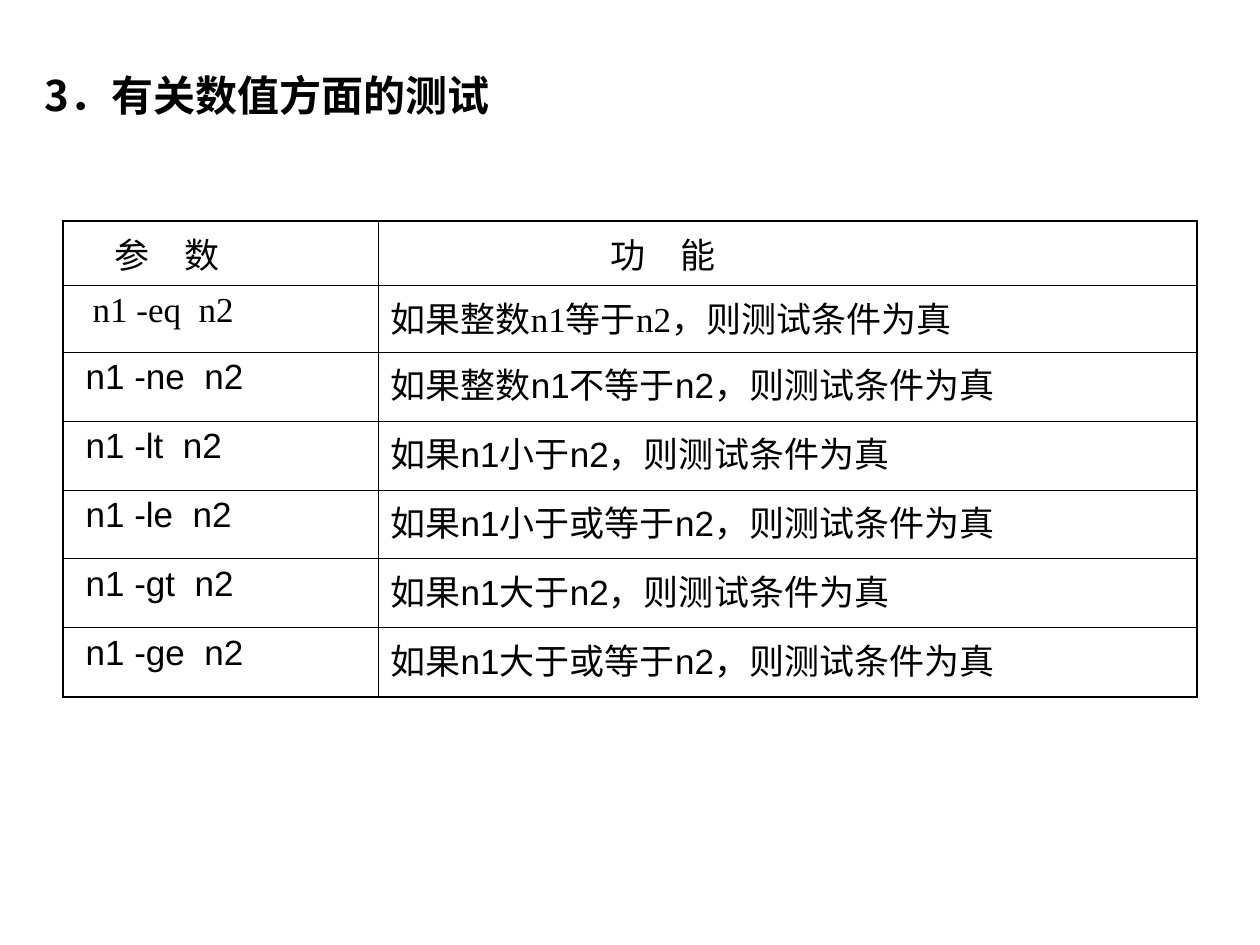
"""Build a slide listing the numeric test operators of the shell."""
from dataclasses import dataclass

from lxml import etree
from pptx import Presentation, util as u
from pptx.dml.color import RGBColor
from pptx.oxml import ns

PX_PER_INCH = 126
BLACK = RGBColor(0, 0, 0)
CJK_FONT = "Noto Sans CJK SC"
SANS = "Arial"
SERIF = "Times New Roman"
OUTER_PT, INNER_PT = 1.08, 0.45
COLUMN_WIDTHS = (315, 819)


@dataclass(frozen=True)
class Entry:
    """One table row, with the left indent of each of its two cells."""
    parameter: str
    meaning: str
    height: int = 69
    indents: tuple[int, int] = (10, 0)
    typeface: str = SANS


ENTRIES = (
    Entry("参　数", "功　能", 64, (39, 220)),
    Entry("n1 -eq  n2", "如果整数n1等于n2，则测试条件为真", 67, (17, 0), SERIF),
    Entry("n1 -ne  n2", "如果整数n1不等于n2，则测试条件为真"),
    Entry("n1 -lt  n2", "如果n1小于n2，则测试条件为真"),
    Entry("n1 -le  n2", "如果n1小于或等于n2，则测试条件为真"),
    Entry("n1 -gt  n2", "如果n1大于n2，则测试条件为真"),
    Entry("n1 -ge  n2", "如果n1大于或等于n2，则测试条件为真"),
)


def px(length: int) -> u.Emu:
    """Turn pixels into EMU."""
    return u.Emu(round(length * u.Inches(1) / PX_PER_INCH))


def write(paragraph, wording: str, typeface: str, size: int,
          bold: bool = False, indent: int = 0) -> None:
    """Fill a paragraph and set its font for Latin and Chinese text."""
    paragraph.text = wording
    properties = paragraph._p.get_or_add_pPr()
    properties.set("marL", str(px(indent)))
    properties.set("indent", "0")
    font = paragraph.font
    font.size, font.bold, font.name = u.Pt(size), bold, typeface
    font.color.rgb = BLACK
    east_asian = etree.Element(ns.qn("a:ea"), typeface=CJK_FONT)
    properties.find(ns.qn("a:defRPr")).find(ns.qn("a:latin")).addnext(east_asian)


def draw_borders(cell, outer_sides: dict[str, bool]) -> None:
    """Draw the four sides of a cell, heavier on the table's outline."""
    properties = cell._tc.get_or_add_tcPr()
    for side, is_outer in outer_sides.items():
        width = u.Pt(OUTER_PT if is_outer else INNER_PT)
        line = etree.SubElement(properties, ns.qn(f"a:ln{side}"), w=str(width))
        fill = etree.SubElement(line, ns.qn("a:solidFill"))
        etree.SubElement(fill, ns.qn("a:srgbClr"), val=str(BLACK))


def add_title(slide, wording: str) -> None:
    """Add the heading."""
    frame = slide.shapes.add_textbox(px(32), px(63), px(1207), px(80)).text_frame
    frame.word_wrap = True
    write(frame.paragraphs[0], wording, CJK_FONT, 24, bold=True)


def add_operator_table(slide, entries: tuple[Entry, ...]) -> None:
    """Add the table of parameters and meanings."""
    height = sum(entry.height for entry in entries)
    table = slide.shapes.add_table(
        len(entries), len(COLUMN_WIDTHS), px(63), px(221),
        px(sum(COLUMN_WIDTHS)), px(height)).table
    table.first_row = table.horz_banding = False
    for column, width in zip(table.columns, COLUMN_WIDTHS):
        column.width = px(width)
    last_row, last_column = len(entries) - 1, len(COLUMN_WIDTHS) - 1
    for r, entry in enumerate(entries):
        table.rows[r].height = px(entry.height)
        for c, wording in enumerate((entry.parameter, entry.meaning)):
            cell = table.cell(r, c)
            draw_borders(cell, {"L": c == 0, "R": c == last_column,
                                "T": r == 0, "B": r == last_row})
            cell.fill.background()
            write(cell.text_frame.paragraphs[0], wording, entry.typeface, 20,
                  indent=entry.indents[c])


def main() -> None:
    """Build and save the slide."""
    deck = Presentation()
    deck.slide_width, deck.slide_height = px(1260), px(945)
    slide = deck.slides.add_slide(deck.slide_layouts[6])
    add_title(slide, "3．有关数值方面的测试")
    add_operator_table(slide, ENTRIES)
    deck.save("out.pptx")


if __name__ == "__main__":
    main()
